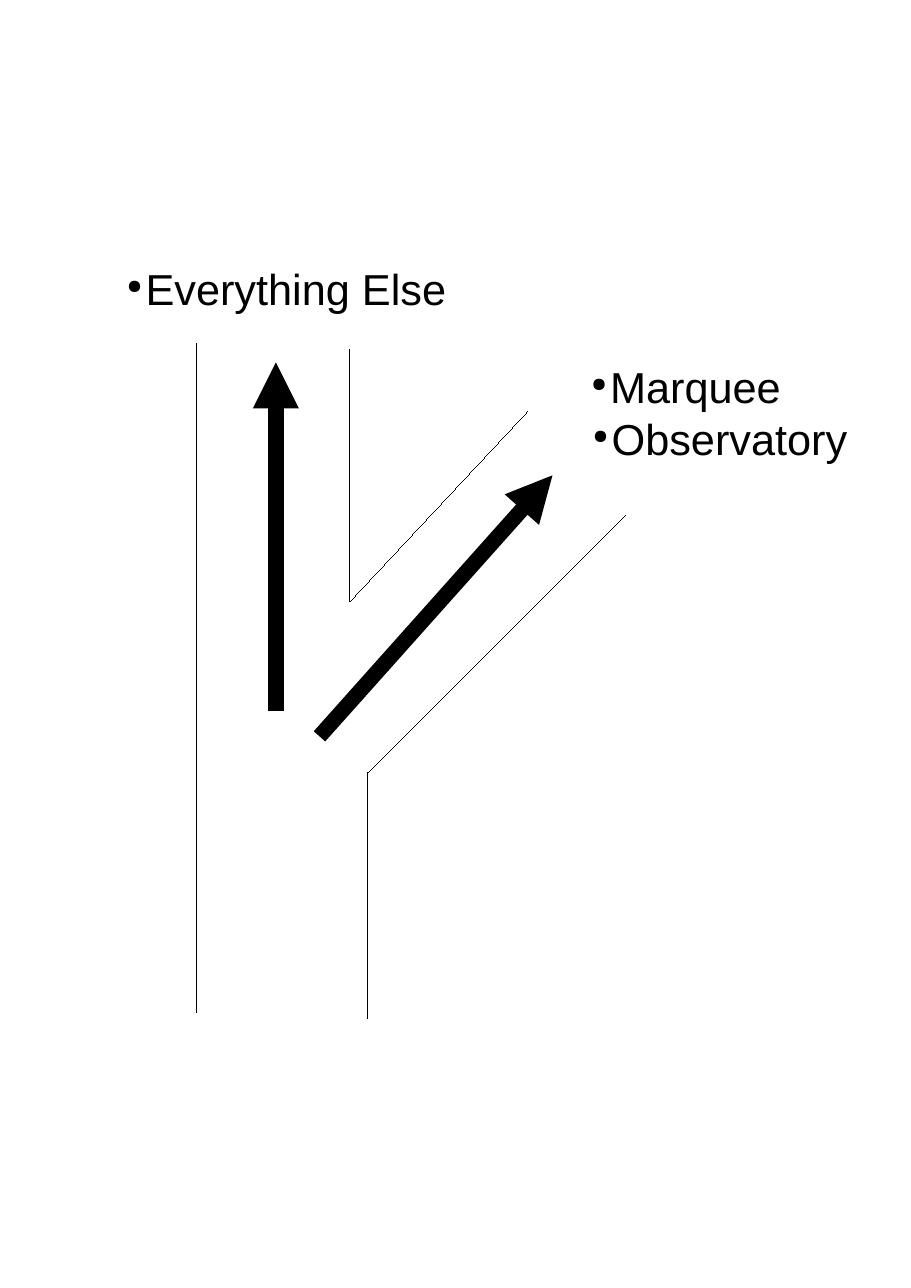
from lxml import etree
from pptx import Presentation
from pptx.dml.color import RGBColor
from pptx.enum.shapes import MSO_CONNECTOR as Conn
from pptx.enum.text import PP_ALIGN as Align
from pptx.oxml.ns import qn
from pptx.util import Inches, Pt

BLACK = RGBColor(0, 0, 0)

deck = Presentation()
deck.slide_width, deck.slide_height = Inches(11.69), Inches(16.53)
slide = deck.slides.add_slide(deck.slide_layouts[6])


def add_line(ends, width):
    line = slide.shapes.add_connector(Conn.STRAIGHT, *map(Inches, ends))
    line.line.color.rgb = BLACK
    # A zero width must be written out to override the theme
    line.line._get_or_add_ln().set("w", str(Pt(width)))
    etree.SubElement(line._element.spPr, qn("a:effectLst"))
    return line


def add_list(box, items):
    shape = slide.shapes.add_textbox(*map(Inches, box))
    frame = shape.text_frame
    frame.text = "\n".join(items)
    frame.word_wrap = True
    for para in frame.paragraphs:
        props = para._p.get_or_add_pPr()
        props.set("marL", str(Inches(0.24)))
        props.set("indent", str(Inches(-0.24)))
        color = etree.SubElement(props, qn("a:buClr"))
        etree.SubElement(color, qn("a:srgbClr"), val=str(BLACK))
        etree.SubElement(props, qn("a:buSzPct"), val="45000")
        etree.SubElement(props, qn("a:buChar"), char="●")
        para.font.name = "Arial"
        para.font.size = Pt(40)
        para.font.color.rgb = BLACK
    return frame


# Road edges: left side, inner fork, right side
for ends in [
    (2.52, 12.99, 2.52, 4.41),
    (4.49, 4.49, 4.49, 7.72),
    (6.77, 5.28, 4.49, 7.72),
    (8.03, 6.61, 4.72, 9.92),
    (4.72, 13.07, 4.72, 9.92),
]:
    add_line(ends, 0)

# Place names
east = add_list((7.49, 4.57, 3.5, 1.34), ["Marquee", "Observatory"])
east.paragraphs[1].alignment = Align.CENTER
add_list((1.53, 3.31, 4.5, 0.72), ["Everything Else"])

# Direction arrows
for ends in [(3.54, 9.13, 3.54, 4.65), (4.1, 9.45, 7.09, 6.1)]:
    arrow = add_line(ends, 14.17)
    etree.SubElement(arrow.line._get_or_add_ln(), qn("a:tailEnd"), type="triangle")

deck.save("out.pptx")
